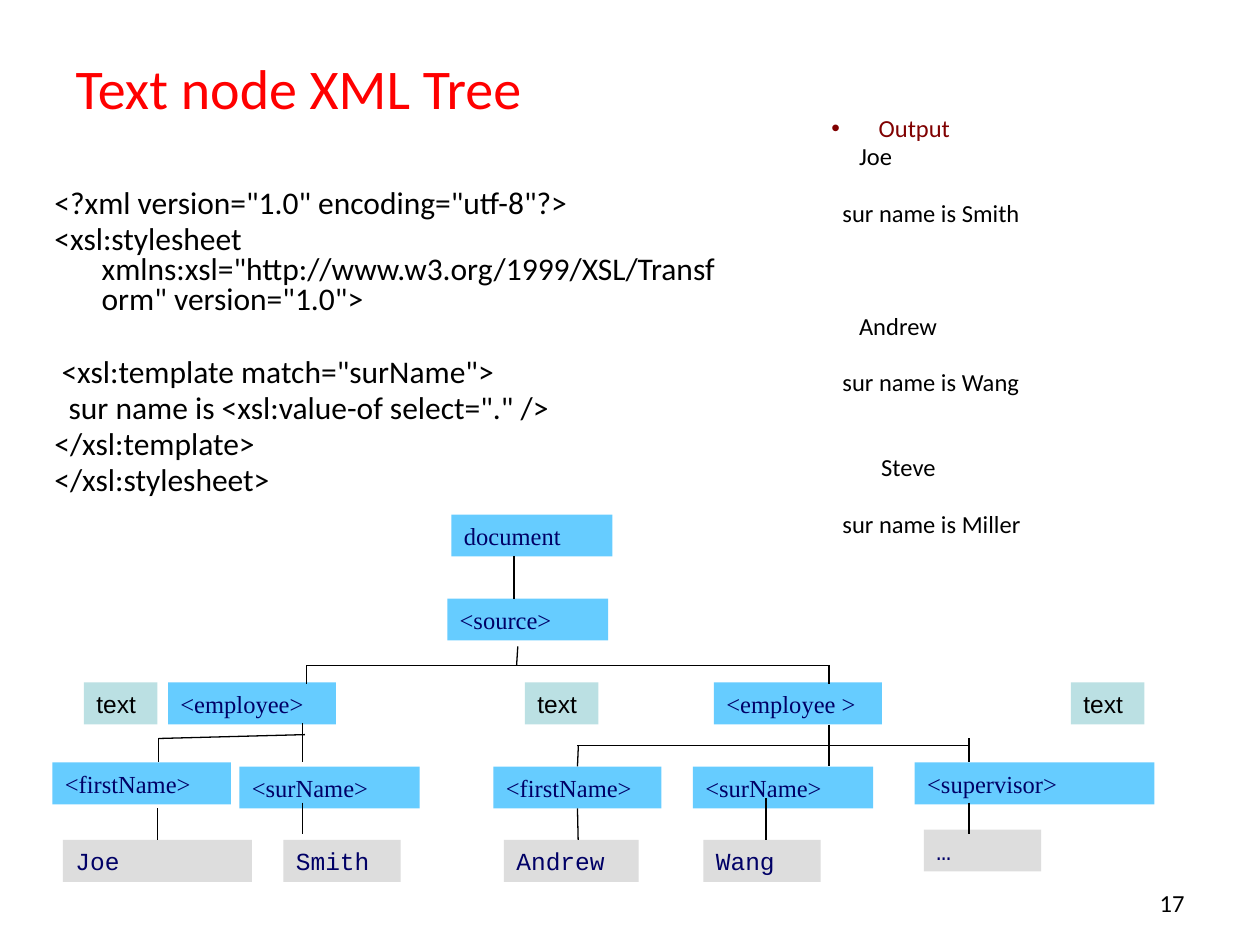
from lxml import etree
from pptx import Presentation
from pptx import util as u
from pptx.dml import color
from pptx.enum import shapes, text
from pptx.oxml import ns

BLUE, GREY, TEAL = "66CCFF", "DDDDDD", "BBE0E3"
STYLES = {
    BLUE: ("Times New Roman", "000066"),
    GREY: ("Courier New", "000066"),
    TEAL: ("Arial", "000000"),
}
CODE = [
    (0, 0, '<?xml version="1.0" encoding="utf-8"?>'),
    (0, 0, '<xsl:stylesheet xmlns:xsl="http://www.w3.org/1999/XSL/Transform" version="1.0">'),
    (1, 1, '<xsl:template match="surName">'),
    (0, 2, 'sur name is <xsl:value-of select="." />'),
    (0, 0, "</xsl:template>"),
    (0, 0, "</xsl:stylesheet>"),
]
OUTPUT = [
    (0, 0, "Output"),
    (0, 5, "Joe"),
    (1, 2, "sur name is Smith"),
    (3, 5, "Andrew"),
    (1, 2, "sur name is Wang"),
    (2, 9, "Steve"),
    (1, 2, "sur name is Miller"),
]
NODES = [
    ("document", 228, 0, 92, BLUE),
    ("<source>", 225.6, 48, 92, BLUE),
    ("text", 18, 96, 42, TEAL),
    ("<employee>", 66, 96, 96, BLUE),
    ("text", 270, 96, 42, TEAL),
    ("<employee >", 378, 96, 96, BLUE),
    ("text", 582, 96, 42, TEAL),
    ("<firstName>", 0, 141.6, 102, BLUE),
    ("<surName>", 106.8, 144, 103, BLUE),
    ("<firstName>", 252, 144, 96, BLUE),
    ("<surName>", 366, 144, 103, BLUE),
    ("<supervisor>", 492.7, 141.6, 137, BLUE),
    ("Joe", 6, 186, 108, GREY),
    ("Smith", 132, 186, 67, GREY),
    ("Andrew", 258, 186, 77, GREY),
    ("Wang", 372, 186, 67, GREY),
    ("…", 498, 180, 67, GREY),
]
BRANCHES = [
    (263.8, 24, 263.8, 48),
    (265.9, 75.4, 265.2, 86.2),
    (145, 86.2, 443.8, 86.2),
    (145, 86.2, 145, 97),
    (443.8, 86.2, 443.8, 97),
    (142.8, 119.3, 142.8, 141.6),
    (60.7, 128, 144.2, 125.8),
    (60.7, 128, 60.7, 141.6),
    (60, 168, 60, 186),
    (142.8, 164.6, 142.8, 182.6),
    (443.8, 120, 443.8, 144),
    (300, 132, 524.4, 132),
    (300.5, 132, 300, 146),
    (523.7, 128, 523.7, 141.6),
    (300, 168, 300.4, 186),
    (407.8, 162, 407.8, 186),
    (523.7, 164.6, 523.7, 182.6),
]


def rgb(value):
    """Turn a hex string into a colour."""
    return color.RGBColor.from_string(value)


def points(*values):
    """Turn numbers of points into lengths."""
    return [u.Pt(value) for value in values]


def add_span(para, words, size, font, ink):
    """Add one formatted run to a paragraph."""
    span = para.add_run()
    span.text = words
    span.font.size = u.Pt(size)
    span.font.name = font
    span.font.color.rgb = rgb(ink)


def add_title(page, box, words):
    """Place and format the title placeholder."""
    title = page.shapes.title
    title.left, title.top, title.width, title.height = points(*box)
    title.text_frame.vertical_anchor = text.MSO_ANCHOR.MIDDLE
    para = title.text_frame.paragraphs[0]
    para.alignment = text.PP_ALIGN.LEFT
    add_span(para, words, 32, "Calibri", "FF0000")


def add_page_number(page, box, words):
    """Place the page number at the right of its box."""
    frame = page.shapes.add_textbox(*points(*box)).text_frame
    frame.word_wrap = True
    para = frame.paragraphs[0]
    para.alignment = text.PP_ALIGN.RIGHT
    add_span(para, words, 14, "Calibri", "000000")


def add_listing(page, box, lines, size, heading=None):
    """Place lines given as rows skipped, spaces of indent and words."""
    gap, pitch, space, hang = 0.185 * size, 1.16 * size, 0.226 * size, 27
    frame = page.shapes.add_textbox(*points(*box)).text_frame
    frame.word_wrap = True
    frame.margin_top = u.Pt(3.6 + pitch)
    for number, (skipped, spaces, words) in enumerate(lines):
        para = frame.add_paragraph() if number else frame.paragraphs[0]
        para.line_spacing = 0.8
        para.space_before = u.Pt(gap + skipped * pitch)
        props = para._p.get_or_add_pPr()
        props.set("marL", str(u.Pt(hang)))
        props.set("indent", str(u.Pt(spaces * space - hang)))
        is_heading = words == heading
        if is_heading:
            etree.SubElement(props, ns.qn("a:buFont"), typeface="Arial")
            etree.SubElement(props, ns.qn("a:buChar"), char="•")
        add_span(para, words, size, "Calibri", "800000" if is_heading else "000000")


def add_node(page, box, words, fill):
    """Place one filled tree node."""
    node = page.shapes.add_shape(shapes.MSO_SHAPE.RECTANGLE, *points(*box))
    node.shadow.inherit = False
    node.fill.solid()
    node.fill.fore_color.rgb = rgb(fill)
    node.line.fill.background()
    frame = node.text_frame
    frame.word_wrap = True
    frame.vertical_anchor = text.MSO_ANCHOR.MIDDLE
    para = frame.paragraphs[0]
    para.alignment = text.PP_ALIGN.LEFT
    add_span(para, words, 14, *STYLES[fill])
    return node


def find_joint(nodes, x, y):
    """Find the node and side whose middle lies at a point."""
    for node in nodes:
        middle = node.left + node.width / 2
        for side, edge in ((0, node.top), (2, node.top + node.height)):
            if abs(middle - x) < u.Pt(1.5) and abs(edge - y) < u.Pt(2.5):
                return node, side
    return None


def add_branch(page, nodes, ends):
    """Draw one tree line and join it to the nodes it meets."""
    ends = points(*ends)
    branch = page.shapes.add_connector(shapes.MSO_CONNECTOR.STRAIGHT, *ends)
    branch.line.color.rgb = rgb("000000")
    branch.line.width = u.Pt(0.75)
    etree.SubElement(branch._element.spPr, ns.qn("a:effectLst"))
    for join, end in ((branch.begin_connect, ends[:2]), (branch.end_connect, ends[2:])):
        joint = find_joint(nodes, *end)
        if joint:
            join(*joint)


def add_tree(page, left, top):
    """Draw the tree of nodes from its top left corner."""
    nodes = [
        add_node(page, (left + x, top + y, width, 24), words, fill)
        for words, x, y, width, fill in NODES
    ]
    for x1, y1, x2, y2 in BRANCHES:
        add_branch(page, nodes, (left + x1, top + y1, left + x2, top + y2))


def main():
    """Build the slide and save it."""
    deck = Presentation()
    deck.slide_width, deck.slide_height = points(720, 540)
    page = deck.slides.add_slide(deck.slide_layouts[5])
    add_title(page, (36, 21.6, 648, 56), "Text node XML Tree")
    add_listing(page, (24, 84, 396, 228), CODE, 18)
    add_listing(page, (468, 48, 186, 276), OUTPUT, 14, "Output")
    add_tree(page, 30, 294)
    add_page_number(page, (516, 504, 168, 25), "17")
    deck.save("out.pptx")


if __name__ == "__main__":
    main()
